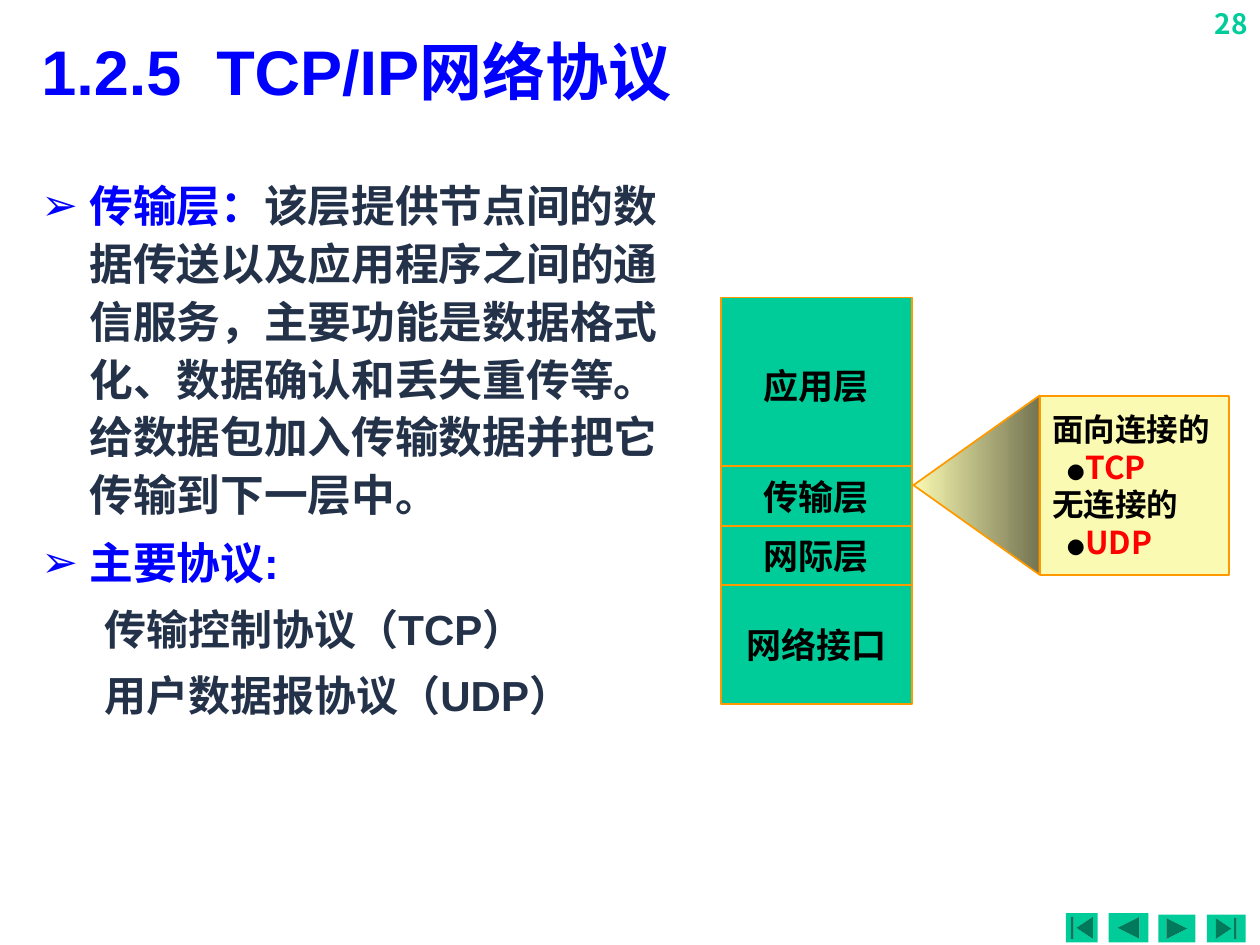
import pptx
import pptx.dml.color
import pptx.enum.shapes
import pptx.enum.text
import pptx.oxml.ns
import pptx.oxml.xmlchemy
import pptx.util
from lxml import etree

Cm = pptx.util.Cm
Pt = pptx.util.Pt
RGBColor = pptx.dml.color.RGBColor
SHAPE = pptx.enum.shapes.MSO_SHAPE
ALIGN = pptx.enum.text.PP_ALIGN
ANCHOR = pptx.enum.text.MSO_ANCHOR
qn = pptx.oxml.ns.qn

BLUE = RGBColor(0x00, 0x00, 0xFF)
NAVY = RGBColor(0x23, 0x32, 0x49)
GREEN = RGBColor(0x00, 0xCC, 0x99)
ORANGE = RGBColor(0xFF, 0x99, 0x00)
CREAM = RGBColor(0xFA, 0xFA, 0xB2)
OLIVE = RGBColor(0x74, 0x74, 0x52)
RED = RGBColor(0xFF, 0x00, 0x00)
BLACK = RGBColor(0x00, 0x00, 0x00)
CJK = "Noto Sans CJK SC"


def add_span(para, text, size, color, font=CJK, east_asian=CJK):
    span = para.add_run()
    span.text = text
    span.font.size = Pt(size)
    span.font.bold = True
    span.font.color.rgb = color
    span.font.name = font
    etree.SubElement(span.font._element, qn("a:ea")).set("typeface", east_asian)


def next_para(frame):
    if frame.paragraphs[0].runs:
        return frame.add_paragraph()
    return frame.paragraphs[0]


def set_indent(para, margin, indent, bullet=None):
    props = para._p.get_or_add_pPr()
    props.set("marL", str(Cm(margin)))
    props.set("indent", str(Cm(indent)))
    if bullet:
        color = etree.SubElement(props, qn("a:buClr"))
        etree.SubElement(color, qn("a:srgbClr")).set("val", str(BLUE))
        etree.SubElement(props, qn("a:buChar")).set("char", bullet)
    else:
        etree.SubElement(props, qn("a:buNone"))


def place(box, left, top, width, height):
    box.left, box.top = Cm(left), Cm(top)
    box.width, box.height = Cm(width), Cm(height)
    box.text_frame.auto_size = pptx.enum.text.MSO_AUTO_SIZE.NONE
    box.text_frame.word_wrap = True


def add_title(page):
    title = page.shapes.title
    place(title, 0.58, 0.48, 24.18, 1.88)
    title.text_frame.vertical_anchor = ANCHOR.MIDDLE
    para = title.text_frame.paragraphs[0]
    para.alignment = ALIGN.LEFT
    add_span(para, "1.2.5  TCP/IP网络协议", 36, BLUE, "Arial")


def add_body(page):
    body = page.placeholders[1]
    place(body, 0.58, 3.38, 13.06, 14.43)
    body.text_frame.vertical_anchor = ANCHOR.TOP
    items = [
        (0, [("传输层：", BLUE),
             ("该层提供节点间的数据传送以及应用程序之间的通信服务，"
              "主要功能是数据格式化、数据确认和丢失重传等。"
              "给数据包加入传输数据并把它传输到下一层中。", NAVY)]),
        (0, [("主要协议:", BLUE)]),
        (1, [("传输控制协议（TCP）", NAVY)]),
        (1, [("用户数据报协议（UDP）", NAVY)]),
    ]
    for level, spans in items:
        para = next_para(body.text_frame)
        para.level = level
        para.line_spacing = 1.1
        para.space_before = Pt(6)
        if level:
            set_indent(para, 2.06, -0.79)
        else:
            set_indent(para, 0.97, -0.97, "➢")
        for text, color in spans:
            add_span(para, text, 24 if level else 25, color, "Arial")


def add_page_number(page):
    box = page.shapes.add_textbox(Cm(24), 0, Cm(1.4), Cm(1.07))
    box.text_frame.word_wrap = True
    para = box.text_frame.paragraphs[0]
    para.alignment = ALIGN.RIGHT
    add_span(para, "28", 16, GREEN, "Noto Sans CJK KR", "Noto Sans CJK KR")


def add_figure(page, kind, left, top, width, height, fill=None, line=None):
    figure = page.shapes.add_shape(kind, Cm(left), Cm(top), Cm(width), Cm(height))
    figure.shadow.inherit = False
    if fill is not None:
        figure.fill.solid()
        figure.fill.fore_color.rgb = fill
    if line is None:
        figure.line.fill.background()
    else:
        figure.line.color.rgb = line
        figure.line.width = Pt(1)
    figure.text_frame.word_wrap = False
    figure.text_frame.vertical_anchor = ANCHOR.MIDDLE
    return figure


def add_navigation(page):
    buttons = [
        (SHAPE.ACTION_BUTTON_BEGINNING, 21.49, 18.41, 0.64, 0.59),
        (SHAPE.ACTION_BUTTON_BACK_OR_PREVIOUS, 22.35, 18.41, 0.8, 0.59),
        (SHAPE.ACTION_BUTTON_FORWARD_OR_NEXT, 23.35, 18.44, 0.75, 0.56),
        (SHAPE.ACTION_BUTTON_END, 24.33, 18.44, 0.78, 0.56),
    ]
    for kind, *position in buttons:
        add_figure(page, kind, *position, GREEN)


def add_layers(page):
    layers = [("应用层", 6, 3.53), ("传输层", 9.4, 1.2),
              ("网际层", 10.6, 1.2), ("网络接口", 11.8, 2.4)]
    for name, top, height in layers:
        layer = add_figure(page, SHAPE.RECTANGLE, 14.53, top, 3.86, height,
                           GREEN, ORANGE)
        para = layer.text_frame.paragraphs[0]
        para.alignment = ALIGN.CENTER
        add_span(para, name, 20, BLACK)


def add_pointer(page):
    pointer = add_figure(page, SHAPE.ISOSCELES_TRIANGLE, 17.88, 8.51, 3.61, 2.54,
                         line=ORANGE)
    pointer.rotation = 270
    pointer.fill.gradient()
    pointer.fill.gradient_angle = 0
    for stop, color in zip(pointer.fill.gradient_stops, (CREAM, OLIVE)):
        stop.color.rgb = color
    pointer._element.spPr.find(qn("a:gradFill")).set("rotWithShape", "0")


def add_callout(page):
    callout = add_figure(page, SHAPE.RECTANGLE, 20.96, 7.98, 3.81, 3.61,
                         CREAM, ORANGE)
    for kind, protocol in (("面向连接的", "TCP"), ("无连接的", "UDP")):
        heading = next_para(callout.text_frame)
        heading.alignment = ALIGN.LEFT
        add_span(heading, kind, 18, BLACK)
        entry = next_para(callout.text_frame)
        entry.alignment = ALIGN.LEFT
        set_indent(entry, 0.32, 0)
        add_span(entry, "●", 10, BLACK)
        add_span(entry, protocol, 18, RED)


def main():
    deck = pptx.Presentation()
    deck.slide_width, deck.slide_height = Cm(25.4), Cm(19.05)
    page = deck.slides.add_slide(deck.slide_layouts[1])
    add_page_number(page)
    add_navigation(page)
    add_title(page)
    add_body(page)
    add_layers(page)
    add_pointer(page)
    add_callout(page)
    deck.save("out.pptx")


if __name__ == "__main__":
    main()
